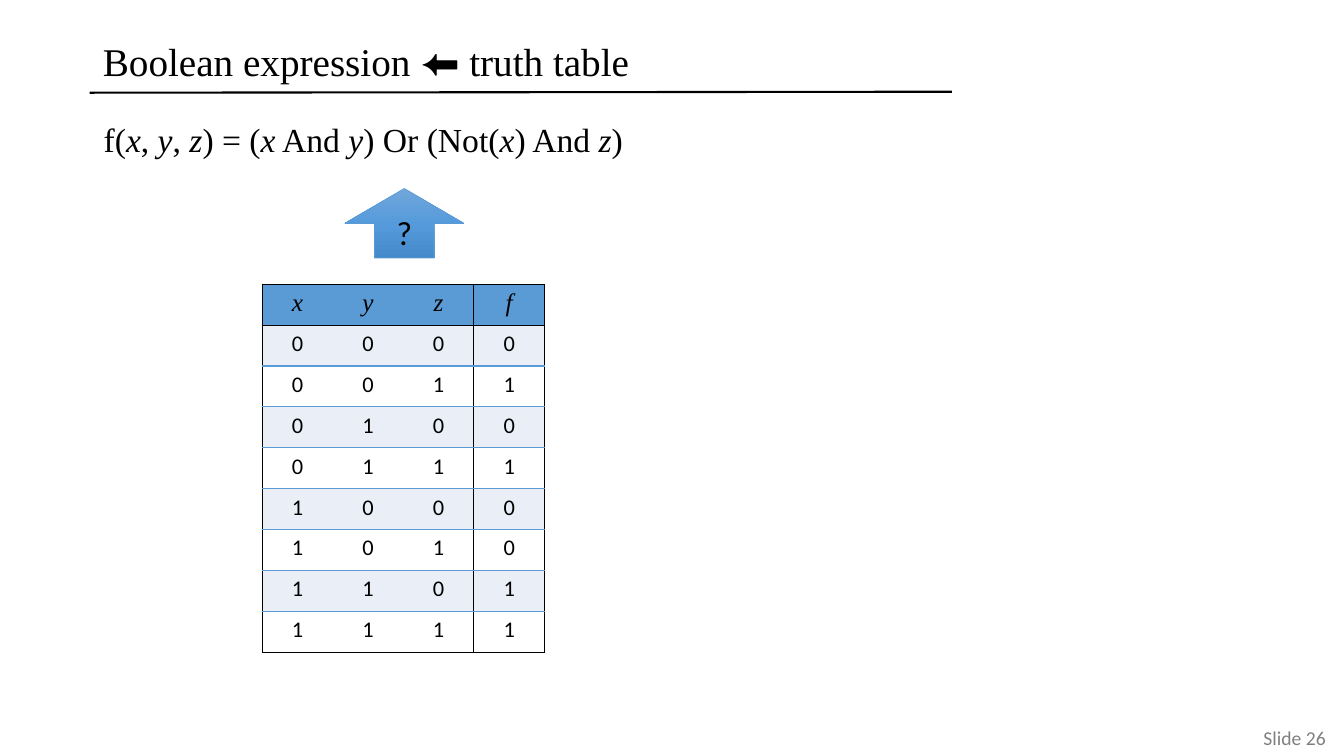
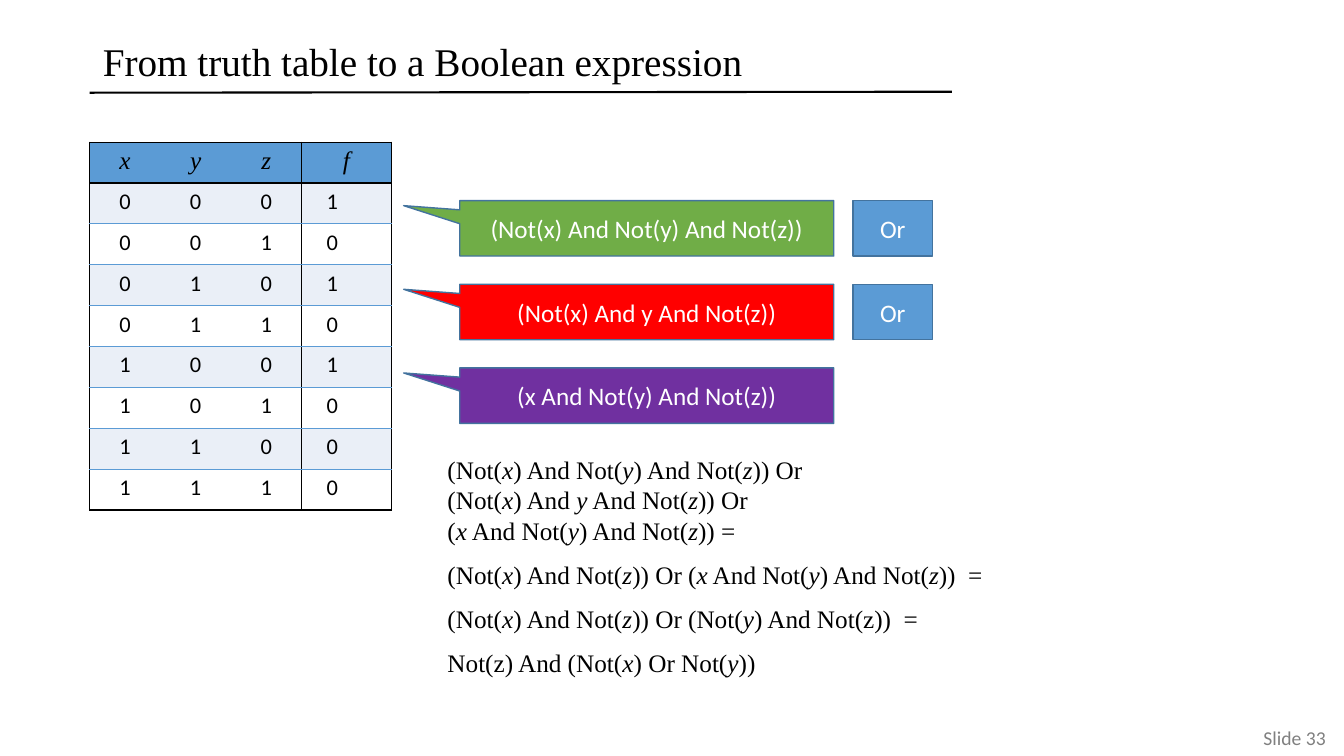
import copy
import dataclasses
import itertools

import lxml.etree
import pptx
import pptx.dml.color
import pptx.enum.shapes
import pptx.enum.text
import pptx.oxml.ns
import pptx.util

Inches = pptx.util.Inches
Align = pptx.enum.text.PP_ALIGN
Anchor = pptx.enum.text.MSO_ANCHOR
Shape = pptx.enum.shapes.MSO_SHAPE
qn = pptx.oxml.ns.qn


@dataclasses.dataclass(frozen=True)
class Theme:
    """Colours, fonts and type sizes of the deck."""
    ink: str = "000000"
    paper: str = "FFFFFF"
    muted: str = "808080"
    blue: str = "5B9BD5"
    band: str = "EAEFF7"
    outline: str = "43739E"
    green: str = "70AD47"
    red: str = "FF0000"
    purple: str = "7030A0"
    gradient: tuple = ("71A6DB", "559BDB", "448ACA")
    serif: str = "Times New Roman"
    sans: str = "Calibri"
    symbol: str = "Arial"
    title: int = 28
    large: int = 24
    normal: int = 18
    digit: int = 16
    footer: int = 14


THEME = Theme()


def rgb(value):
    """Turn a hex string into a colour."""
    return pptx.dml.color.RGBColor.from_string(value)


def write(frame, text, *, size, font=THEME.serif, color=THEME.ink, align=Align.LEFT,
          anchor=Anchor.TOP, before=0, spacing=None, italic=False):
    """Fill a text frame, with *x* for italics or a symbol, \\n for paragraphs and \\v for breaks."""
    frame.word_wrap = True
    frame.auto_size = pptx.enum.text.MSO_AUTO_SIZE.NONE
    frame.vertical_anchor = anchor
    for number, content in enumerate(text.split("\n")):
        para = frame.add_paragraph() if number else frame.paragraphs[0]
        para.alignment = align
        para.space_before = pptx.util.Pt(before)
        para.line_spacing = spacing
        for row, line in enumerate(content.split("\v")):
            if row:
                para.add_line_break()
            for index, piece in enumerate(line.split("*")):
                if not piece:
                    continue
                marked = index % 2 == 1
                span = para.add_run()
                span.text = piece
                span.font.size = pptx.util.Pt(size)
                span.font.name = THEME.symbol if marked and not piece.isalpha() else font
                span.font.italic = italic or (marked and piece.isalpha())
                span.font.color.rgb = rgb(color)


def draw_borders(cell, **colors):
    """Draw the four borders of a cell, leaving out those without a colour."""
    properties = cell._tc.get_or_add_tcPr()
    for side in "LRTB":
        color = colors.get(side)
        border = lxml.etree.SubElement(properties, qn(f"a:ln{side}"), w=str(pptx.util.Pt(1)))
        if color:
            fill = lxml.etree.SubElement(border, qn("a:solidFill"))
            lxml.etree.SubElement(fill, qn("a:srgbClr"), val=color)
        else:
            lxml.etree.SubElement(border, qn("a:noFill"))


class Deck:
    """Holds the presentation, its theme and the current page."""

    def __init__(self, theme):
        """Start an empty wide presentation."""
        self.theme = theme
        self.show = pptx.Presentation()
        self.show.slide_width = Inches(13.33)
        self.show.slide_height = Inches(7.5)
        self.page = None

    def add_page(self, title, number):
        """Add a page with its title, rule and footer."""
        self.page = self.show.slides.add_slide(self.show.slide_layouts[5])
        heading = self.page.shapes.title
        heading.left, heading.top = Inches(0.92), Inches(0.32)
        heading.width, heading.height = Inches(8.53), Inches(0.63)
        write(heading.text_frame, title, size=self.theme.title, anchor=Anchor.MIDDLE, spacing=0.9)
        self.add_rule(0.89, 0.92, 9.44, 0.91)
        footer = self.add_text(0.9, 7.15, 12.25, 0.34, f"Slide {number}", size=self.theme.footer,
                               font=self.theme.sans, color=self.theme.muted, align=Align.RIGHT,
                               anchor=Anchor.MIDDLE)
        footer.text_frame.margin_left = footer.text_frame.margin_right = 0

    def add_rule(self, *ends):
        """Add the line below the title."""
        rule = self.page.shapes.add_connector(pptx.enum.shapes.MSO_CONNECTOR.STRAIGHT,
                                              *map(Inches, ends))
        rule.line.color.rgb = rgb(self.theme.ink)
        rule.line.width = pptx.util.Pt(1.5)
        lxml.etree.SubElement(rule.element.spPr, qn("a:effectLst"))

    def add_text(self, left, top, width, height, text, **style):
        """Add a text box."""
        box = self.page.shapes.add_textbox(*map(Inches, (left, top, width, height)))
        write(box.text_frame, text, **style)
        return box

    def add_shape(self, kind, left, top, width, height, text, fill, **style):
        """Add a preset shape with centred text."""
        shape = self.page.shapes.add_shape(kind, *map(Inches, (left, top, width, height)))
        shape.shadow.inherit = False
        shape.fill.solid()
        shape.fill.fore_color.rgb = rgb(fill)
        shape.line.color.rgb = rgb(self.theme.outline)
        shape.line.width = pptx.util.Pt(1)
        style = {"size": self.theme.normal, "color": self.theme.paper, **style}
        write(shape.text_frame, text, font=self.theme.sans, align=Align.CENTER,
              anchor=Anchor.MIDDLE, **style)
        return shape

    def add_callout(self, top, text, fill):
        """Add a callout that points to a table row."""
        callout = self.add_shape(Shape.RECTANGULAR_CALLOUT, 4.56, top, 3.71, 0.55, text, fill)
        callout.adjustments[0] = -0.65
        callout.adjustments[1] = -0.409

    def add_arrow(self, left, top, width, height, text):
        """Add an up arrow with a vertical gradient."""
        arrow = self.add_shape(Shape.UP_ARROW, left, top, width, height, text, self.theme.blue,
                               size=self.theme.large, color=self.theme.ink)
        arrow.line.color.rgb = rgb(self.theme.blue)
        arrow.line.width = pptx.util.Pt(0.5)
        arrow.fill.gradient()
        arrow.fill.gradient_angle = 270
        stops = arrow.element.spPr.find(".//" + qn("a:gsLst"))
        stops.insert(1, copy.deepcopy(stops[0]))
        for index, (stop, color) in enumerate(zip(arrow.fill.gradient_stops, self.theme.gradient)):
            stop.position = index / 2
            stop.color.rgb = rgb(color)

    def add_truth_table(self, left, top, widths, results, result_indent=None):
        """Add the truth table of f, whose results may be indented from the left."""
        theme = self.theme
        inputs = itertools.product("01", repeat=3)
        rows = ["xyzf"] + [(*values, result) for values, result in zip(inputs, results)]
        height = 3.65
        frame = self.page.shapes.add_table(len(rows), len(widths), Inches(left), Inches(top),
                                           Inches(sum(widths)), Inches(height))
        table = frame.table
        for column, width in zip(table.columns, widths):
            column.width = Inches(width)
        last = len(rows) - 1
        for row, values in enumerate(rows):
            table.rows[row].height = Inches(height / len(rows))
            header = row == 0
            for column, value in enumerate(values):
                cell = table.cell(row, column)
                draw_borders(cell,
                             L=theme.ink if column in (0, 3) else None,
                             R=theme.ink if column in (2, 3) else None,
                             T=theme.ink if row < 2 else theme.blue,
                             B=theme.ink if row in (0, last) else theme.blue)
                cell.fill.solid()
                cell.fill.fore_color.rgb = rgb(
                    theme.blue if header else theme.band if row % 2 else theme.paper)
                indented = result_indent and column == 3 and not header
                if indented:
                    cell.margin_left = Inches(result_indent)
                write(cell.text_frame, value, size=theme.normal if header else theme.digit,
                      font=theme.serif if header else theme.sans, italic=header,
                      align=Align.LEFT if indented else Align.CENTER)


def main():
    """Build both pages and save the deck."""
    deck = Deck(THEME)

    deck.add_page("Boolean expression *⬅* truth table", 26)
    deck.add_text(0.93, 1.18, 8.5, 0.6, "f(*x*, *y*, *z*) = (*x* And *y*) Or (Not(*x*) And *z*)",
                  size=THEME.large, before=10, spacing=0.9)
    deck.add_truth_table(2.6, 2.82, (0.7, 0.7, 0.7, 0.7), "01010011")
    deck.add_arrow(3.42, 1.87, 1.18, 0.69, "?")

    deck.add_page("From truth table to a Boolean expression", 33)
    terms = (("(Not(x) And Not(y) And Not(z))", THEME.green),
             ("(Not(x) And y And Not(z))", THEME.red),
             ("(x And Not(y) And Not(z))", THEME.purple))
    for index, (term, color) in enumerate(terms):
        top = 1.99 + 0.83 * index
        deck.add_callout(top, term, color)
        if index < len(terms) - 1:
            deck.add_shape(Shape.RECTANGLE, 8.46, top, 0.79, 0.55, "Or", THEME.blue)
    deck.add_truth_table(0.89, 1.41, (0.7, 0.7, 0.7, 0.89), "10101000", result_indent=0.25)
    steps = ("(Not(*x*) And Not(*y*) And Not(*z*)) Or\v"
             "(Not(*x*) And *y* And Not(*z*)) Or\v"
             "(*x* And Not(*y*) And Not(*z*)) =",
             "(Not(*x*) And Not(*z*)) Or (*x* And Not(*y*) And Not(*z*))  =",
             "(Not(*x*) And Not(*z*)) Or (Not(*y*) And Not(z))  =",
             "Not(z) And (Not(*x*) Or Not(*y*))")
    deck.add_text(4.34, 4.46, 6.67, 2.34, "\n".join(steps), size=THEME.normal, before=10)

    deck.show.save("out.pptx")


if __name__ == "__main__":
    main()
